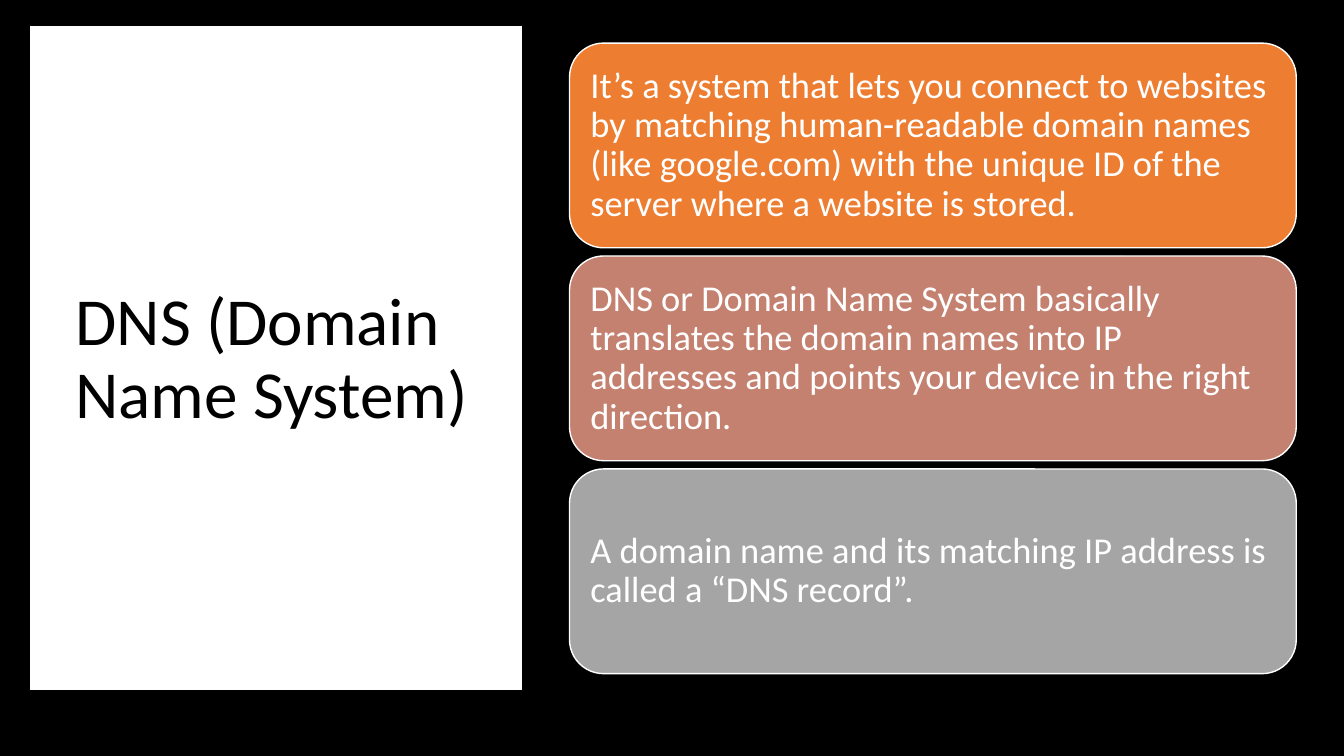
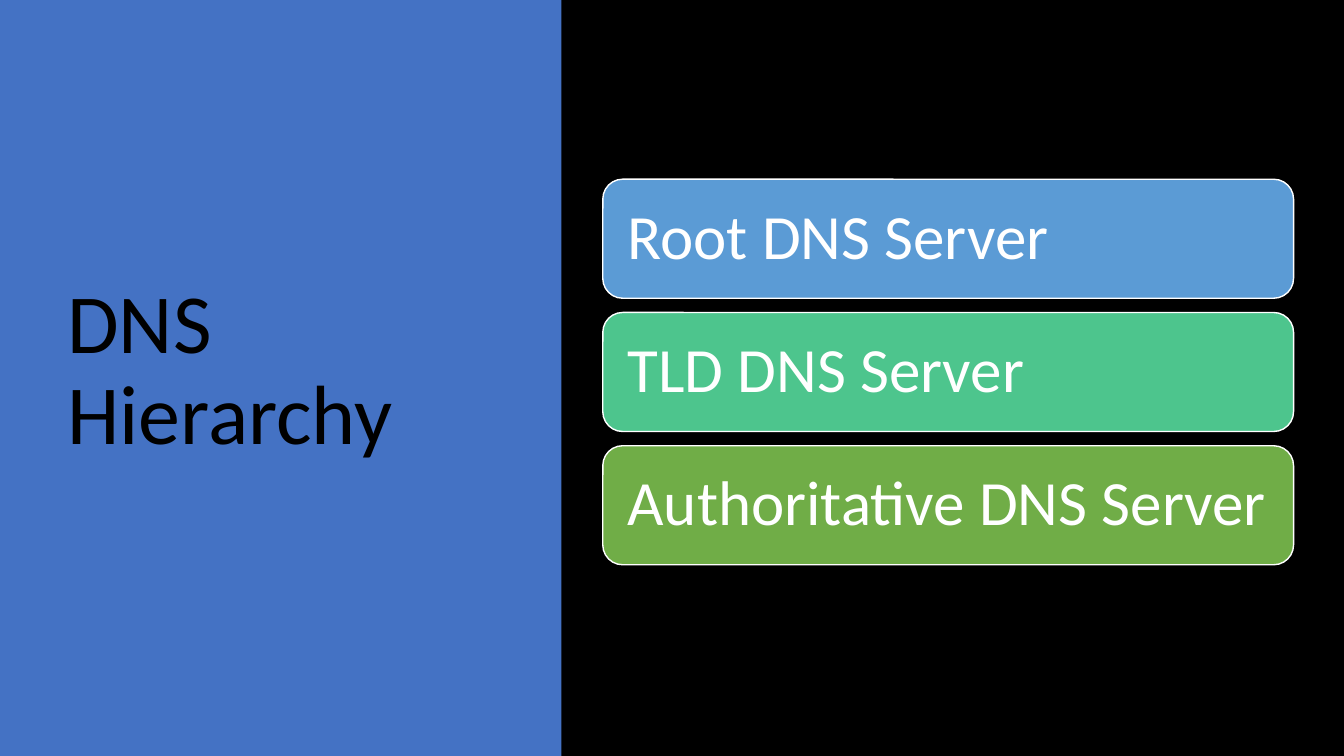
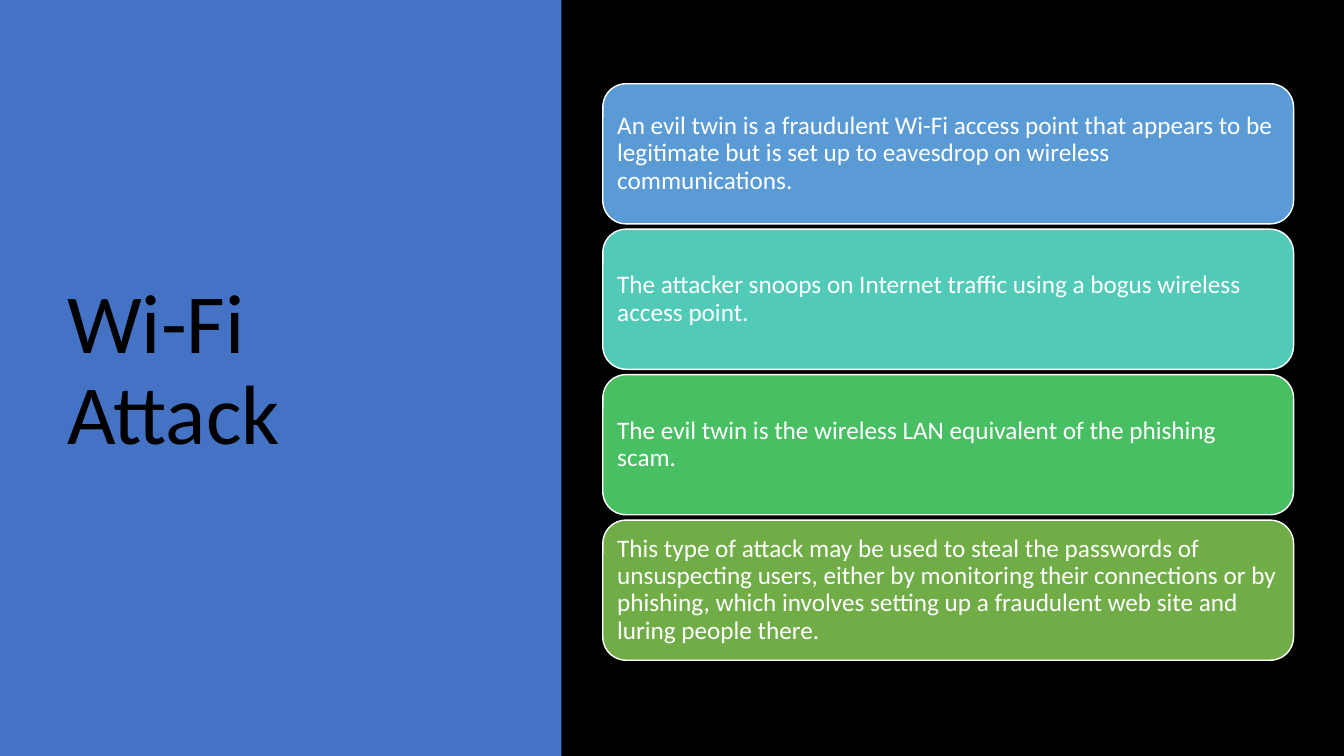
from lxml.etree import SubElement
from pptx import Presentation
from pptx.dml.color import RGBColor
from pptx.enum.shapes import MSO_SHAPE
from pptx.enum.text import MSO_ANCHOR, PP_ALIGN
from pptx.oxml.ns import qn
from pptx.util import Pt

BLACK = RGBColor(0x00, 0x00, 0x00)
WHITE = RGBColor(0xFF, 0xFF, 0xFF)
BLUE = RGBColor(0x44, 0x72, 0xC4)
SKY = RGBColor(0x5B, 0x9B, 0xD5)
TURQUOISE = RGBColor(0x52, 0xCA, 0xB8)
MINT = RGBColor(0x4D, 0xC5, 0x8D)
EMERALD = RGBColor(0x49, 0xBF, 0x64)
GREEN = RGBColor(0x70, 0xAD, 0x47)
ORANGE = RGBColor(0xED, 0x7D, 0x31)
ROSE = RGBColor(0xC4, 0x81, 0x70)
GRAY = RGBColor(0xA5, 0xA5, 0xA5)

WIDTH, HEIGHT = 960, 540


class Deck:
    FONT = "Calibri"

    def __init__(self):
        self.prs = Presentation()
        self.prs.slide_width, self.prs.slide_height = Pt(WIDTH), Pt(HEIGHT)
        self.s = None

    def slide(self):
        self.s = self.prs.slides.add_slide(self.prs.slide_layouts[6])
        fill = self.s.background.fill
        fill.solid()
        fill.fore_color.rgb = BLACK

    def shape(self, kind, box, color, line_width=0):
        """Add a filled shape with a white outline, or none at width 0."""
        sp = self.s.shapes.add_shape(kind, *(Pt(v) for v in box))
        sp.shadow.inherit = False
        sp.fill.solid()
        sp.fill.fore_color.rgb = color
        if line_width:
            sp.line.color.rgb = WHITE
            sp.line.width = Pt(line_width)
        else:
            sp.line.fill.background()
        return sp

    def set_text(self, sp, text, size, color):
        tf = sp.text_frame
        tf.word_wrap = True
        tf.vertical_anchor = MSO_ANCHOR.MIDDLE
        tf.text = text
        p = tf.paragraphs[0]
        p.alignment = PP_ALIGN.LEFT
        p.line_spacing = 0.9
        font = p.runs[0].font
        font.name, font.size, font.color.rgb = self.FONT, Pt(size), color

    def title(self, text, box, size):
        sp = self.s.shapes.add_textbox(*(Pt(v) for v in box))
        self.set_text(sp, text, size, BLACK)

    def framed_panel(self, text):
        sp = self.shape(MSO_SHAPE.RECTANGLE, (26.6, 23.8, 341.3, 464.4), WHITE, 10)
        SubElement(sp.element.spPr.find(qn("a:ln")), qn("a:miter"), lim="800000")
        self.title(text, (46.8, 50.4, 299.5, 414), 48)

    def side_panel(self, text):
        self.shape(MSO_SHAPE.RECTANGLE, (0, 0, 401, HEIGHT), BLUE)
        self.title(text, (41, 49, 299.5, 433.4), 60)

    def cards(self, items, height, gap, size, left=430.6, width=493.4, middle=265.7):
        """Stack (text, color) cards evenly around a middle height."""
        pitch = height + gap
        top = middle - (len(items) * pitch - gap) / 2
        for i, (text, color) in enumerate(items):
            box = (left, top + i * pitch, width, height)
            sp = self.shape(MSO_SHAPE.ROUNDED_RECTANGLE, box, color, 1)
            self.set_text(sp, text, size, WHITE)
            tf = sp.text_frame
            inset = Pt(0.3 * size)
            tf.margin_left = tf.margin_right = inset
            tf.margin_top = tf.margin_bottom = inset


def main():
    deck = Deck()

    deck.slide()
    deck.framed_panel("DNS (Domain Name System)")
    deck.cards([
        ("It’s a system that lets you connect to websites by matching "
         "human-readable domain names (like google.com) with the unique ID "
         "of the server where a website is stored.", ORANGE),
        ("DNS or Domain Name System basically translates the domain names "
         "into IP addresses and points your device in the right direction.", ROSE),
        ("A domain name and its matching IP address is called a “DNS record”.", GRAY),
    ], height=146.2, gap=5.9, size=26, left=406.8, width=519.1, middle=256)

    deck.slide()
    deck.side_panel("DNS Hierarchy")
    deck.cards([
        ("Root DNS Server", SKY),
        ("TLD DNS Server", MINT),
        ("Authoritative DNS Server", GREEN),
    ], height=85, gap=10.2, size=45)

    deck.slide()
    deck.side_panel("Wi-Fi Attack")
    deck.cards([
        ("An evil twin is a fraudulent Wi-Fi access point that appears to be "
         "legitimate but is set up to eavesdrop on wireless communications.", SKY),
        ("The attacker snoops on Internet traffic using a bogus wireless "
         "access point.", TURQUOISE),
        ("The evil twin is the wireless LAN equivalent of the phishing scam.", EMERALD),
        ("This type of attack may be used to steal the passwords of "
         "unsuspecting users, either by monitoring their connections or by "
         "phishing, which involves setting up a fraudulent web site and "
         "luring people there.", GREEN),
    ], height=100.1, gap=3.8, size=18)

    deck.prs.save("out.pptx")


if __name__ == "__main__":
    main()
